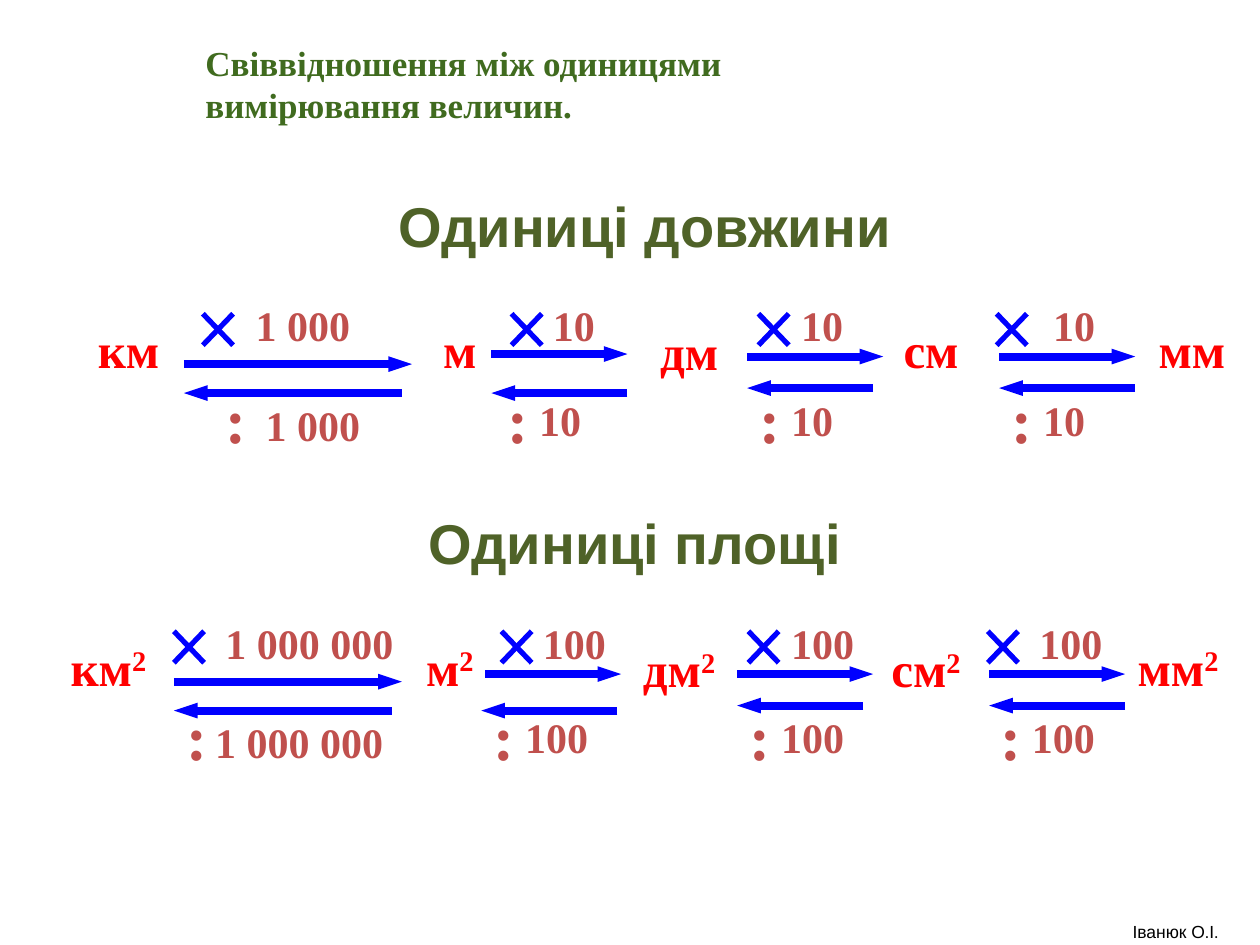
from dataclasses import dataclass
from typing import NamedTuple

import pptx
import pptx.dml.color
import pptx.enum.shapes
import pptx.enum.text
import pptx.oxml.ns
import pptx.oxml.xmlchemy
import pptx.util

Inches = pptx.util.Inches
Align = pptx.enum.text.PP_ALIGN
Anchor = pptx.enum.text.MSO_ANCHOR
AutoSize = pptx.enum.text.MSO_AUTO_SIZE

SERIF = "Times New Roman"
SANS = "Arial"
GREEN = "406B1F"
OLIVE = "4F6228"
RED = "FF0000"
BRICK = "C0504D"
BLUE = "0000FF"
BLACK = "000000"


class Span(NamedTuple):
    text: str
    size: float
    font: str
    color: str
    bold: bool = True
    raised: bool = False


class Unit(NamedTuple):
    name: str
    left: float
    width: float
    drop: float = 0.16


@dataclass
class Conversion:
    factor: str
    cross_left: float
    factor_left: float
    quotient_left: float
    colon_left: float
    forward: tuple[float, float]
    back: tuple[float, float]
    label_width: float = 0.92
    forward_drop: float = 0.5
    back_drop: float = 0.75
    quotient_drop: float = 0.75


@dataclass
class Scale:
    heading: str
    heading_left: float
    top: float
    power: str
    units: list[Unit]
    conversions: list[Conversion]


SCALES = [
    Scale("Одиниці довжини", 2.48, 2.33, "", [
        Unit("км", 0.51, 1.02), Unit("м", 3.27, 0.76), Unit("дм", 4.93, 1.08, 0.17),
        Unit("см", 6.89, 1), Unit("мм", 8.92, 1.08),
    ], [
        Conversion("1 000", 1.61, 1.93, 2.01, 1.69, (1.46, 3.27), (3.19, 1.46),
                   1.23, 0.56, 0.79, 0.79),
        Conversion("10", 4.06, 4.29, 4.18, 3.93, (3.9, 4.98), (4.98, 3.9),
                   forward_drop=0.48, back_drop=0.79),
        Conversion("10", 6.02, 6.26, 6.18, 5.93, (5.93, 7.01), (6.93, 5.93)),
        Conversion("10", 7.91, 8.26, 8.18, 7.93, (7.93, 9.01), (9.01, 7.93)),
    ]),
    Scale("Одиниці площі", 2.4, 4.85, "2", [
        Unit("км", 0.35, 1.02), Unit("м", 3.19, 0.76), Unit("дм", 4.85, 1.08, 0.17),
        Unit("см", 6.85, 1, 0.17), Unit("мм", 8.86, 0.98),
    ], [
        Conversion("1 000 000", 1.38, 1.69, 1.61, 1.38, (1.38, 3.19), (3.11, 1.38),
                   1.6, 0.56, 0.79, 0.79),
        Conversion("100", 3.98, 4.21, 4.07, 3.82, (3.85, 4.93), (4.9, 3.82),
                   back_drop=0.79),
        Conversion("100", 5.94, 6.18, 6.1, 5.85, (5.85, 6.93), (6.85, 5.85)),
        Conversion("100", 7.84, 8.15, 8.09, 7.84, (7.85, 8.93), (8.93, 7.85)),
    ]),
]


def rgb(color: str) -> pptx.dml.color.RGBColor:
    return pptx.dml.color.RGBColor.from_string(color)


def write_para(para, spans: list[Span], align) -> None:
    para.alignment = align
    for span in spans:
        run = para.add_run()
        run.text = span.text
        run.font.size = pptx.util.Pt(span.size)
        run.font.name = span.font
        run.font.bold = span.bold
        run.font.color.rgb = rgb(span.color)
        if span.raised:
            run.font._element.set("baseline", "30000")


def add_text(page, left: float, top: float, width: float, height: float,
             spans: list[Span], align=Align.LEFT, anchor=Anchor.TOP) -> None:
    box = page.shapes.add_textbox(Inches(left), Inches(top), Inches(width), Inches(height))
    box.text_frame.word_wrap = True
    box.text_frame.vertical_anchor = anchor
    write_para(box.text_frame.paragraphs[0], spans, align)


def add_line(shapes, start: tuple[float, float], end: tuple[float, float],
             weight: float, arrow: bool = False) -> None:
    line = shapes.add_connector(
        pptx.enum.shapes.MSO_CONNECTOR.STRAIGHT,
        *(Inches(value) for value in start + end))
    line.line.color.rgb = rgb(BLUE)
    line.line.width = pptx.util.Pt(weight)
    properties = line._element.spPr
    if arrow:
        head = pptx.oxml.xmlchemy.OxmlElement("a:tailEnd")
        head.set("type", "triangle")
        head.set("w", "sm")
        head.set("len", "med")
        properties.find(pptx.oxml.ns.qn("a:ln")).append(head)
    properties.append(pptx.oxml.xmlchemy.OxmlElement("a:effectLst"))


def add_cross(page, left: float, top: float) -> None:
    group = page.shapes.add_group_shape()
    right, bottom = left + 0.24, top + 0.25
    add_line(group.shapes, (left, top), (right, bottom), 3)
    add_line(group.shapes, (right, top), (left, bottom), 3)


def add_conversion(page, top: float, item: Conversion) -> None:
    label = [Span(item.factor, 24, SERIF, BRICK)]
    add_text(page, item.factor_left, top, item.label_width, 0.5, label)
    add_text(page, item.quotient_left, top + item.quotient_drop, item.label_width, 0.5, label)
    add_text(page, item.colon_left, top + 0.64, 0.5, 0.7, [Span(":", 36, SERIF, BRICK)])
    add_cross(page, item.cross_left, top + 0.16)
    for ends, drop in ((item.forward, item.forward_drop), (item.back, item.back_drop)):
        add_line(page.shapes, (ends[0], top + drop), (ends[1], top + drop), 4.5, arrow=True)


def add_scale(page, scale: Scale) -> None:
    add_text(page, scale.heading_left, scale.top - 0.86, 5.28, 0.63,
             [Span(scale.heading, 32, SANS, OLIVE)], Align.CENTER, Anchor.MIDDLE)
    for unit in scale.units:
        spans = [Span(unit.name, 28, SERIF, RED)]
        if scale.power:
            spans.append(Span(scale.power, 28, SERIF, RED, raised=True))
        add_text(page, unit.left, scale.top + unit.drop, unit.width, 0.57, spans, Align.CENTER)
    for item in scale.conversions:
        add_conversion(page, scale.top, item)


def format_title(title) -> None:
    title.left, title.top = Inches(1.53), Inches(0.28)
    title.width, title.height = Inches(7.56), Inches(0.97)
    frame = title.text_frame
    frame.word_wrap = False
    frame.auto_size = AutoSize.NONE
    frame.vertical_anchor = Anchor.TOP
    lines = ("Свіввідношення між одиницями", "вимірювання величин.")
    for para, line in zip((frame.paragraphs[0], frame.add_paragraph()), lines):
        write_para(para, [Span(line, 20, SERIF, GREEN)], Align.LEFT)


def main() -> None:
    deck = pptx.Presentation()
    deck.slide_width, deck.slide_height = Inches(10), Inches(7.5)
    page = deck.slides.add_slide(deck.slide_layouts[5])
    format_title(page.shapes.title)
    for scale in SCALES:
        add_scale(page, scale)
    author = [Span(text, 10, font, BLACK, bold=False) for text, font in (
        ("Іванюк О", SANS), (".", "TeX Gyre Pagella"), ("І", SANS), (".", "TeX Gyre Pagella"))]
    add_text(page, 8.66, 7.26, 1.34, 0.24, author, Align.CENTER)
    deck.save("out.pptx")


if __name__ == "__main__":
    main()
